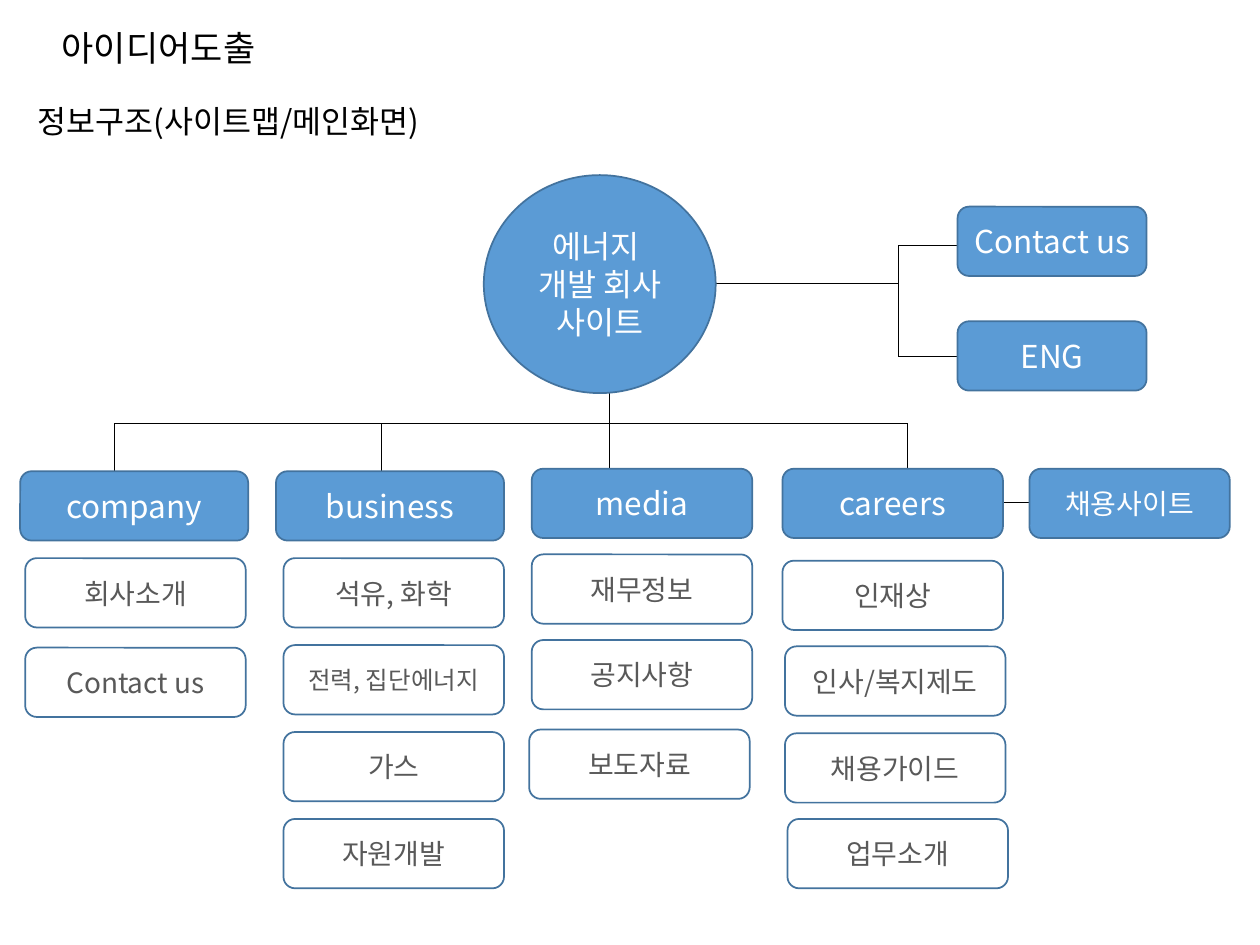
from pptx import Presentation
from pptx.dml.color import RGBColor
from pptx.enum.shapes import MSO_CONNECTOR, MSO_SHAPE
from pptx.enum.text import MSO_ANCHOR, MSO_AUTO_SIZE, PP_ALIGN
from pptx.oxml.ns import qn
from pptx.util import Inches, Pt

ROUNDED, ELLIPSE = MSO_SHAPE.ROUNDED_RECTANGLE, MSO_SHAPE.OVAL
STRAIGHT = MSO_CONNECTOR.STRAIGHT
TOP, MIDDLE = MSO_ANCHOR.TOP, MSO_ANCHOR.MIDDLE
LEFT, CENTER = PP_ALIGN.LEFT, PP_ALIGN.CENTER
FIT_SHAPE = MSO_AUTO_SIZE.SHAPE_TO_FIT_TEXT

FONT = "Noto Sans CJK KR"
BLACK, WHITE, GREY = "000000", "FFFFFF", "595959"
BLUE, BORDER = "5B9BD5", "43739E"
BOX_HEIGHT, COLUMN_WIDTH = 0.55, 1.75


def write_text(shape, lines, size, color, align, anchor):
    frame = shape.text_frame
    frame.word_wrap = True
    frame.vertical_anchor = anchor
    for number, line in enumerate(lines):
        para = frame.add_paragraph() if number else frame.paragraphs[0]
        para.alignment = align
        span = para.add_run()
        span.text = line
        span.font.size = Pt(size)
        span.font.name = FONT
        span.font.color.rgb = RGBColor.from_string(color)
        east_asian = span.font._element.makeelement(qn("a:ea"), {"typeface": FONT})
        span.font._element.find(qn("a:latin")).addnext(east_asian)


def add_node(kind, left, top, width, height, lines, size, fill, color):
    node = slide.shapes.add_shape(
        kind, Inches(left), Inches(top), Inches(width), Inches(height))
    node.shadow.inherit = False
    node.fill.solid()
    node.fill.fore_color.rgb = RGBColor.from_string(fill)
    node.line.color.rgb = RGBColor.from_string(BORDER)
    node.line.width = Pt(1)
    write_text(node, lines, size, color, CENTER, MIDDLE)


deck = Presentation()
deck.slide_width, deck.slide_height = Inches(10), Inches(7.5)
slide = deck.slides.add_slide(deck.slide_layouts[5])

# Title and subtitle
title = slide.shapes.title
title.left, title.top = Inches(0.39), Inches(0.16)
title.width, title.height = Inches(1.88), Inches(0.44)
write_text(title, ["아이디어도출"], 20, BLACK, LEFT, TOP)
title.text_frame.auto_size = FIT_SHAPE

subtitle = slide.shapes.add_textbox(
    Inches(0.2), Inches(0.76), Inches(3.49), Inches(0.4))
write_text(subtitle, ["정보구조(사이트맵/메인화면)"], 18, BLACK, LEFT, TOP)
subtitle.text_frame.auto_size = FIT_SHAPE

# Connecting lines: x1, y1, x2, y2
lines = [
    (4.84, 3.12, 4.84, 3.75),
    (0.91, 3.36, 7.2, 3.36),
    *[(x, 3.36, x, 3.75) for x in (0.91, 3.03, 7.2)],
    (5.68, 2.25, 7.13, 2.25),
    (7.13, 1.95, 7.13, 2.83),
    *[(7.13, y, 7.6, y) for y in (1.95, 2.83)],
    (7.89, 3.99, 8.19, 3.99),
]
for ends in lines:
    line = slide.shapes.add_connector(STRAIGHT, *[Inches(end) for end in ends])
    line.line.color.rgb = RGBColor.from_string(BLACK)
    line.line.width = Pt(0.5)
    properties = line._element.spPr
    properties.append(properties.makeelement(qn("a:effectLst"), {}))

# Site root
add_node(ELLIPSE, 3.84, 1.39, 1.84, 1.73, ["에너지 ", "개발 회사 사이트"],
         18, BLUE, WHITE)

# Blue boxes: label, left, top, width, text size
headings = [
    ("Contact us", 7.6, 1.64, 1.5, 18),
    ("ENG", 7.6, 2.55, 1.5, 18),
    ("company", 0.16, 3.74, 1.81, 18),
    ("business", 2.19, 3.74, 1.81, 18),
    ("media", 4.22, 3.72, COLUMN_WIDTH, 18),
    ("careers", 6.21, 3.72, COLUMN_WIDTH, 18),
    ("채용사이트", 8.17, 3.72, 1.59, 16),
]
for label, left, top, width, size in headings:
    add_node(ROUNDED, left, top, width, BOX_HEIGHT, [label], size, BLUE, WHITE)

# White boxes under each heading: label, left, top, text size
pages = [
    ("회사소개", 0.2, 4.43, 16),
    ("Contact us", 0.2, 5.14, 16),
    ("석유, 화학", 2.25, 4.43, 16),
    ("전력, 집단에너지", 2.25, 5.12, 14),
    ("가스", 2.25, 5.81, 16),
    ("자원개발", 2.25, 6.5, 16),
    ("재무정보", 4.22, 4.4, 16),
    ("공지사항", 4.22, 5.08, 16),
    ("보도자료", 4.2, 5.79, 16),
    ("인재상", 6.21, 4.45, 16),
    ("인사/복지제도", 6.23, 5.13, 16),
    ("채용가이드", 6.23, 5.82, 16),
    ("업무소개", 6.25, 6.5, 16),
]
for label, left, top, size in pages:
    add_node(ROUNDED, left, top, COLUMN_WIDTH, BOX_HEIGHT, [label],
             size, WHITE, GREY)

deck.save("out.pptx")
